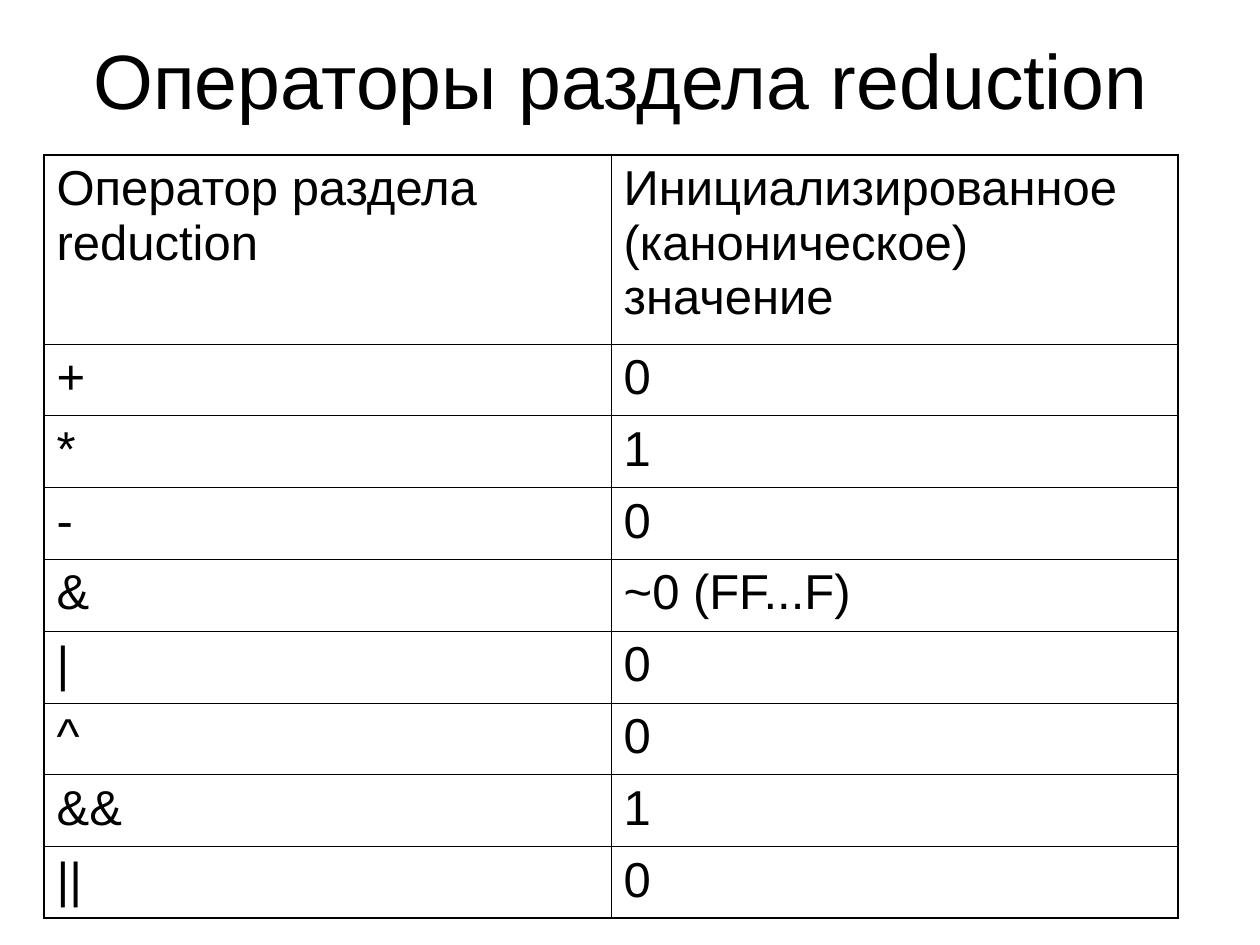
"""Build the slide listing the operators of the reduction clause."""
import pptx
import pptx.dml.color
import pptx.enum.text
import pptx.oxml
import pptx.oxml.ns
import pptx.util
from pptx.util import Inches

COLORS = {"text": "000000", "border": "000000", "background": "FFFFFF"}
FONT = "Arial"
THICK, THIN = 1.08, 0.45
ROWS = [
    ("Оператор раздела reduction", "Инициализированное (каноническое) значение"),
    ("+", "0"),
    ("*", "1"),
    ("-", "0"),
    ("&", "~0 (FF...F)"),
    ("|", "0"),
    ("^", "0"),
    ("&&", "1"),
    ("||", "0"),
]


def style_run(r, size):
    r.font.name = FONT
    r.font.size = pptx.util.Pt(size)
    r.font.color.rgb = pptx.dml.color.RGBColor.from_string(COLORS["text"])


def set_borders(cell, widths):
    tc_pr = cell._tc.get_or_add_tcPr()
    for i, (side, width) in enumerate(widths.items()):
        line = pptx.oxml.parse_xml(
            f'<a:ln{side} {pptx.oxml.ns.nsdecls("a")} w="{pptx.util.Pt(width)}">'
            f'<a:solidFill><a:srgbClr val="{COLORS["border"]}"/></a:solidFill></a:ln{side}>'
        )
        tc_pr.insert(i, line)


prs = pptx.Presentation()
prs.slide_width, prs.slide_height = Inches(10), Inches(7.5)
s = prs.slides.add_slide(prs.slide_layouts[5])
s.background.fill.solid()
s.background.fill.fore_color.rgb = pptx.dml.color.RGBColor.from_string(COLORS["background"])

title = s.shapes.title
title.left, title.top, title.width, title.height = Inches(0.43), Inches(0), Inches(9), Inches(1.25)
tf = title.text_frame
tf.text = "Операторы раздела reduction"
tf.vertical_anchor = pptx.enum.text.MSO_ANCHOR.MIDDLE
p = tf.paragraphs[0]
p.alignment = pptx.enum.text.PP_ALIGN.CENTER
style_run(p.runs[0], 44)

last_row, last_col = len(ROWS) - 1, len(ROWS[0]) - 1
frame = s.shapes.add_table(len(ROWS), len(ROWS[0]), Inches(0.35), Inches(1.23), Inches(9), Inches(6.06))
table = frame.table
table.first_row = table.horz_banding = False
for col in table.columns:
    col.width = Inches(4.5)
for i, texts in enumerate(ROWS):
    table.rows[i].height = Inches(0.57 if i else 1.5)
    for j, text in enumerate(texts):
        cell = table.cell(i, j)
        cell.fill.background()
        cell.text_frame.text = text
        p = cell.text_frame.paragraphs[0]
        p.space_before = pptx.util.Pt(7)
        style_run(p.runs[0], 28)
        set_borders(cell, {
            "L": THICK if j == 0 else THIN,
            "R": THICK if j == last_col else THIN,
            "T": THICK if i == 0 else THIN,
            "B": THICK if i == last_row else THIN,
        })

prs.save("out.pptx")
